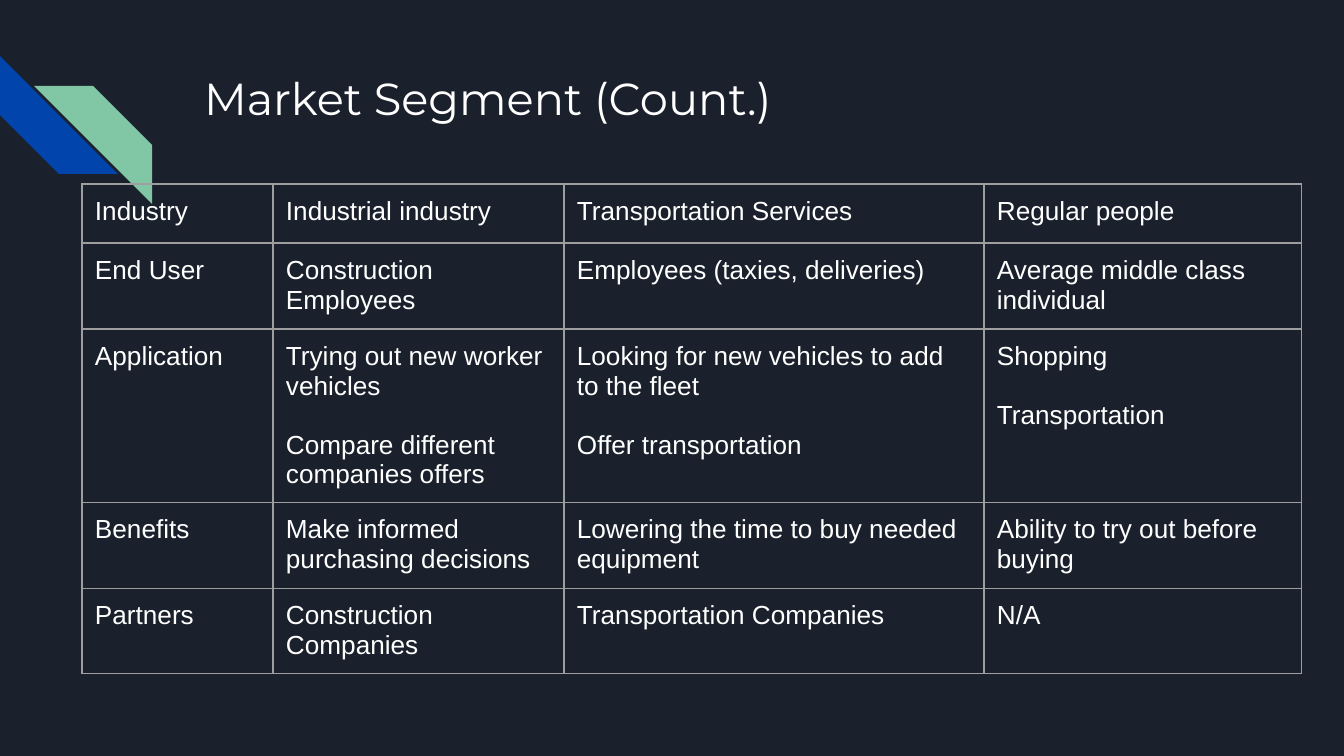
from lxml import etree
from pptx import Presentation
from pptx.dml.color import RGBColor
from pptx.enum.shapes import MSO_SHAPE
from pptx.enum.text import MSO_ANCHOR, MSO_AUTO_SIZE, PP_ALIGN
from pptx.oxml.ns import qn
from pptx.util import Emu, Pt

STRIPE = MSO_SHAPE.DIAGONAL_STRIPE
TOP = MSO_ANCHOR.TOP
LEFT = PP_ALIGN.LEFT
NO_AUTOFIT = MSO_AUTO_SIZE.NONE

NAVY = RGBColor(0x1B, 0x21, 0x2C)
BLUE = RGBColor(0x01, 0x45, 0xAC)
GREEN = RGBColor(0x82, 0xC7, 0xA5)
WHITE = RGBColor(0xFF, 0xFF, 0xFF)
GRAY = RGBColor(0x9E, 0x9E, 0x9E)

PIXEL = 914400 / 134.4
INSET = 13
COLUMN_WIDTHS = [191, 291, 420, 318]
ROW_HEIGHTS = [59, 86, 173, 86, 85]

# Each cell is a list of paragraphs
SEGMENTS = [
    [["Industry"], ["Industrial industry"], ["Transportation Services"],
     ["Regular people"]],
    [["End User"], ["Construction Employees"], ["Employees (taxies, deliveries)"],
     ["Average middle class individual"]],
    [["Application"],
     ["Trying out new worker vehicles", "Compare different companies offers"],
     ["Looking for new vehicles to add to the fleet", "Offer transportation"],
     ["Shopping", "Transportation"]],
    [["Benefits"], ["Make informed purchasing decisions"],
     ["Lowering the time to buy needed equipment"],
     ["Ability to try out before buying"]],
    [["Partners"], ["Construction Companies"], ["Transportation Companies"],
     ["N/A"]],
]


def px(*lengths):
    """Turn pixel lengths into a list of EMU lengths."""
    return [Emu(round(length * PIXEL)) for length in lengths]


def write(frame, lines, *, font, size, gap=0):
    """Write lines as left-aligned white paragraphs, with a gap between them."""
    frame.word_wrap = True
    for index, line in enumerate(lines):
        para = frame.add_paragraph() if index else frame.paragraphs[0]
        para.alignment = LEFT
        para.space_before = Pt(gap if index else 0)
        span = para.add_run()
        span.text = line
        span.font.name = font
        span.font.size = Pt(size)
        span.font.bold = False
        span.font.color.rgb = WHITE


deck = Presentation()
deck.slide_width, deck.slide_height = px(1344, 756)
page = deck.slides.add_slide(deck.slide_layouts[5])
page.background.fill.solid()
page.background.fill.fore_color.rgb = NAVY

# Corner stripes
for left, top, rotation, color in [(0, 56, 270, BLUE), (34, 86, 90, GREEN)]:
    stripe = page.shapes.add_shape(STRIPE, *px(left, top, 118, 118))
    stripe.adjustments[0] = 0.5
    stripe.rotation = rotation
    stripe.shadow.inherit = False
    stripe.fill.solid()
    stripe.fill.fore_color.rgb = color
    stripe.line.fill.background()

# Title
title = page.shapes.title
title.left, title.top, title.width, title.height = px(191, 58, 1035, 134)
frame = title.text_frame
frame.auto_size = NO_AUTOFIT
frame.vertical_anchor = TOP
(frame.margin_left, frame.margin_top,
 frame.margin_right, frame.margin_bottom) = px(*[INSET] * 4)
write(frame, ["Market Segment (Count.)"], font="Montserrat", size=24)

# Segment table
table = page.shapes.add_table(
    len(ROW_HEIGHTS), len(COLUMN_WIDTHS),
    *px(82, 184, sum(COLUMN_WIDTHS), sum(ROW_HEIGHTS))).table
table.first_row = False
table.horz_banding = False
for column, width in zip(table.columns, px(*COLUMN_WIDTHS)):
    column.width = width
for row, height, contents in zip(table.rows, px(*ROW_HEIGHTS), SEGMENTS):
    row.height = height
    for cell, lines in zip(row.cells, contents):
        (cell.margin_left, cell.margin_top,
         cell.margin_right, cell.margin_bottom) = px(*[INSET] * 4)
        cell.vertical_anchor = TOP
        write(cell.text_frame, lines, font="Arial", size=14, gap=16)
        properties = cell._tc.get_or_add_tcPr()
        for side in ("a:lnL", "a:lnR", "a:lnT", "a:lnB"):
            border = etree.SubElement(properties, qn(side), w=str(Pt(0.75)))
            fill = etree.SubElement(border, qn("a:solidFill"))
            etree.SubElement(fill, qn("a:srgbClr"), val=str(GRAY))
        cell.fill.background()

deck.save("out.pptx")
